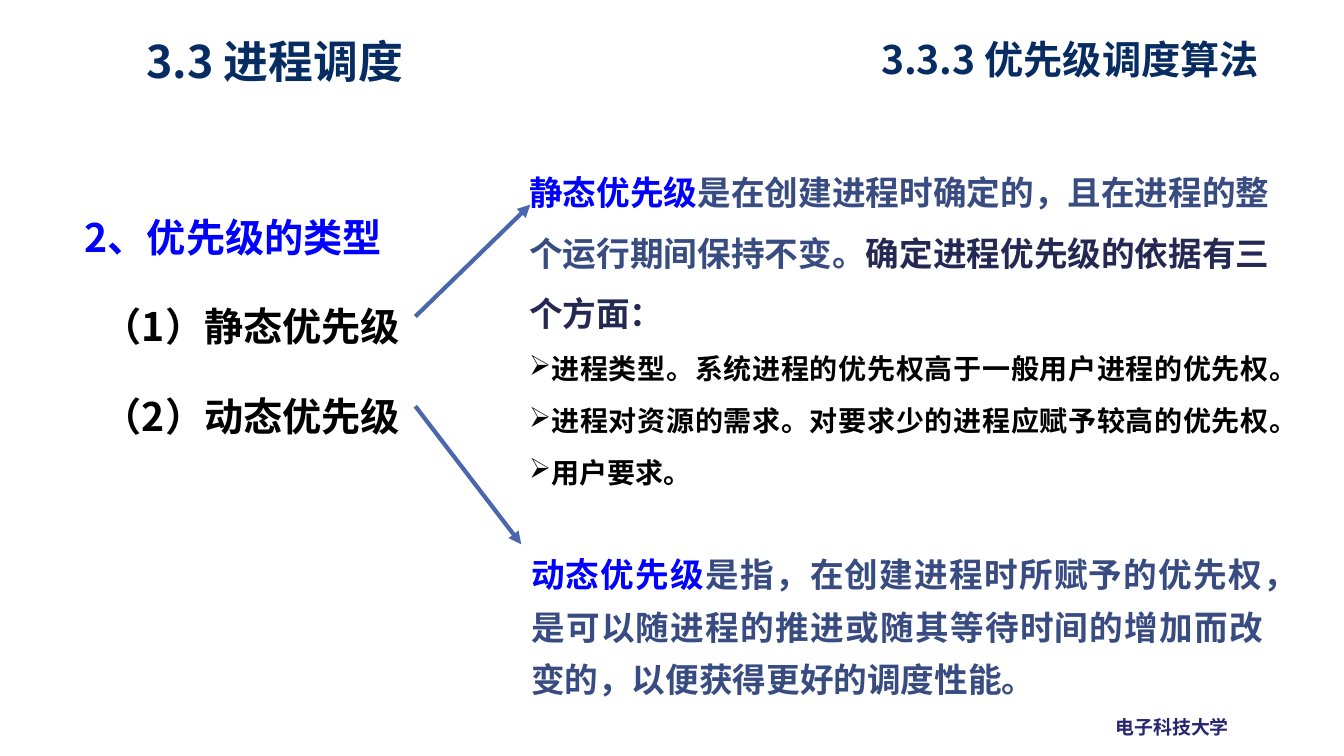
"""Build the slide on static and dynamic priority scheduling."""
from dataclasses import dataclass

from lxml.etree import SubElement
from pptx import Presentation
from pptx.dml.color import RGBColor
from pptx.enum.shapes import MSO_CONNECTOR
from pptx.enum.text import MSO_ANCHOR as Anchor, MSO_AUTO_SIZE as AutoSize, PP_ALIGN as Align
from pptx.oxml.ns import qn
from pptx.util import Inches, Pt


@dataclass(frozen=True)
class Theme:
    font: str = "Noto Sans CJK SC"
    heading: str = "072C62"
    key: str = "0000FF"
    text: str = "000000"
    slate: str = "384C81"
    navy: str = "242852"
    footer: str = "262673"
    arrow: str = "4A66AC"
    title_size: float = 32
    large_size: float = 28
    medium_size: float = 24
    small_size: float = 20
    footer_size: float = 13.5
    line_height: float = 1.2


class SlideBuilder:
    def __init__(self, slide, theme):
        self.slide = slide
        self.theme = theme

    def place(self, shape, at, wrap=True, anchor=Anchor.TOP):
        for name, value in zip(("left", "top", "width", "height"), at):
            setattr(shape, name, Inches(value))
        frame = shape.text_frame
        formats = {"word_wrap": wrap, "auto_size": AutoSize.NONE, "vertical_anchor": anchor}
        for name, value in formats.items():
            setattr(frame, name, value)
        return frame

    def paragraph(self, frame, spans, size, spacing, before=0, indent=0, bullet=None, align=Align.JUSTIFY):
        first = not frame.paragraphs[0].runs
        para = frame.paragraphs[0] if first else frame.add_paragraph()
        formats = {
            "alignment": align,
            "line_spacing": spacing,
            "space_before": Pt(0 if first else before),
            "level": 1 if bullet else 0,
        }
        for name, value in formats.items():
            setattr(para, name, value)
        properties = para._p.get_or_add_pPr()
        properties.set("marL", str(Inches(indent)))
        properties.set("indent", "0")
        if bullet:
            SubElement(properties, qn("a:buChar")).set("char", bullet)
        else:
            SubElement(properties, qn("a:buNone"))
        for text, color in spans:
            span = para.add_run()
            span.text = text
            for name, value in {"size": Pt(size), "bold": True, "name": self.theme.font}.items():
                setattr(span.font, name, value)
            span.font.color.rgb = RGBColor.from_string(color)
            SubElement(span._r.get_or_add_rPr(), qn("a:ea")).set("typeface", self.theme.font)

    def leading(self, size, lines):
        return Pt(size * lines * self.theme.line_height)

    def heading(self, shape, at, text, size):
        frame = self.place(shape, at, wrap=False, anchor=Anchor.MIDDLE)
        self.paragraph(frame, [(text, self.theme.heading)], size, 0.9, align=Align.LEFT)

    def text_box(self, at, **formats):
        box = self.slide.shapes.add_textbox(0, 0, 0, 0)
        return self.place(box, at, **formats)

    def arrow(self, start, end):
        points = [Inches(value) for value in (*start, *end)]
        connector = self.slide.shapes.add_connector(MSO_CONNECTOR.STRAIGHT, *points)
        connector.line.width = Pt(3)
        connector.line.color.rgb = RGBColor.from_string(self.theme.arrow)
        SubElement(connector.line._get_or_add_ln(), qn("a:tailEnd")).set("type", "triangle")
        SubElement(connector._element.spPr, qn("a:effectLst"))


def main():
    theme = Theme()
    deck = Presentation()
    deck.slide_width, deck.slide_height = Inches(13.33), Inches(7.5)
    page = deck.slides.add_slide(deck.slide_layouts[1])
    builder = SlideBuilder(page, theme)
    large, medium, small = theme.large_size, theme.medium_size, theme.small_size

    builder.heading(page.shapes.title, (1.35, 0.37, 3.34, 0.53), "3.3 进程调度", theme.title_size)
    section = page.shapes.add_textbox(0, 0, 0, 0)
    builder.heading(section, (8.64, 0.37, 4.05, 0.49), "3.3.3 优先级调度算法", large)

    kinds = builder.place(page.placeholders[1], (0.74, 1.83, 3.79, 5.21))
    for text, color, indent in (
        ("2、优先级的类型", theme.key, 0),
        ("（1）静态优先级", theme.text, 0.18),
        ("（2）动态优先级", theme.text, 0.18),
    ):
        builder.paragraph(kinds, [(text, color)], large, builder.leading(large, 1.5),
                          before=13.5, indent=indent)

    static = builder.text_box((5.15, 1.46, 7.54, 2.88))
    builder.paragraph(static, [
        ("静态优先级", theme.key),
        ("是在创建进程时确定的，且在进程的整个运行期间保持不变。", theme.slate),
        ("确定进程优先级的依据有三个方面：", theme.navy),
    ], medium, builder.leading(medium, 1.5))
    for basis in (
        "进程类型。系统进程的优先权高于一般用户进程的优先权。",
        "进程对资源的需求。对要求少的进程应赋予较高的优先权。",
        "用户要求。",
    ):
        builder.paragraph(static, [(basis, theme.text)], small, builder.leading(small, 1.5),
                          before=1, bullet="➢")

    dynamic = builder.text_box((5.17, 5.33, 7.46, 1.7))
    builder.paragraph(dynamic, [
        ("动态优先级", theme.key),
        ("是指，在创建进程时所赋予的优先权，是可以随进程的推进或随其等待时间的增加而改变的，"
         "以便获得更好的调度性能。", theme.slate),
    ], medium, builder.leading(medium, 1.3))

    builder.arrow((4.12, 3.14), (5.26, 2.03))
    builder.arrow((4.12, 4.03), (5.17, 5.4))

    footer = builder.text_box((10.97, 7.05, 1.34, 0.33), wrap=False, anchor=Anchor.MIDDLE)
    builder.paragraph(footer, [("电子科技大学", theme.footer)], theme.footer_size, 1.0, align=Align.LEFT)

    deck.save("out.pptx")


if __name__ == "__main__":
    main()
